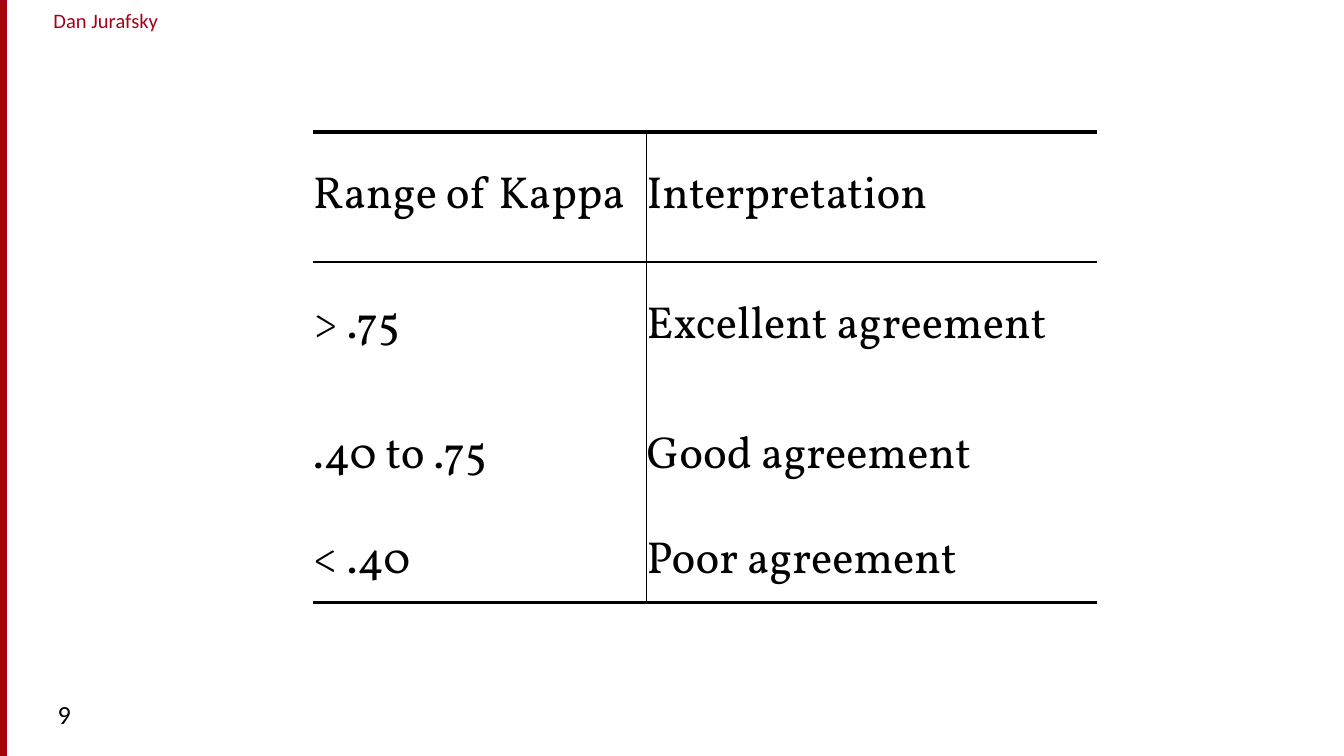
from lxml import etree
from pptx import Presentation
from pptx.dml.color import RGBColor
from pptx.enum.shapes import MSO_SHAPE
from pptx.enum.text import MSO_ANCHOR, PP_ALIGN
from pptx.oxml.ns import qn
from pptx.util import Cm, Pt

RECT = MSO_SHAPE.RECTANGLE
MIDDLE = MSO_ANCHOR.MIDDLE
LEFT, CENTER = PP_ALIGN.LEFT, PP_ALIGN.CENTER

BLACK = RGBColor(0x00, 0x00, 0x00)
CRIMSON = RGBColor(0xA4, 0x00, 0x1D)
DEEP_RED = RGBColor(0xA4, 0x05, 0x08)

THICK, THIN = 2.25, 1
COL_WIDTHS = [6.3, 8.51]
ROW_HEIGHTS = [2.46, 2.46, 2.46, 1.52]
KAPPA_ROWS = [
    ("Range of Kappa", "Interpretation"),
    ("> .75", "Excellent agreement"),
    (".40 to .75", "Good agreement"),
    ("< .40", "Poor agreement"),
]


class SlideBuilder:
    sans = "Calibri"
    serif = "Vollkorn"

    def __init__(self, slide):
        self.slide = slide

    def style(self, p, size, font, color, align=LEFT):
        p.alignment = align
        for r in p.runs:
            r.font.size = Pt(size)
            r.font.name = font
            r.font.color.rgb = color

    def text(self, text, x, y, w, h, size, color=BLACK, align=LEFT, inset=0.25):
        sp = self.slide.shapes.add_textbox(Cm(x), Cm(y), Cm(w), Cm(h))
        tf = sp.text_frame
        tf.word_wrap = True
        tf.margin_left = tf.margin_right = Cm(inset)
        tf.text = text
        self.style(tf.paragraphs[0], size, self.sans, color, align)

    def bar(self, x, y, w, h, rotation):
        sp = self.slide.shapes.add_shape(RECT, Cm(x), Cm(y), Cm(w), Cm(h))
        sp.rotation = rotation
        sp.shadow.inherit = False
        sp.fill.solid()
        sp.fill.fore_color.rgb = DEEP_RED
        sp.line.color.rgb = CRIMSON
        sp.line.width = Pt(0.75)

    def borders(self, cell, widths):
        """Draw the sides named in widths (L, R, T, B) and clear the others."""
        tc_pr = cell._tc.get_or_add_tcPr()
        for i, side in enumerate("LRTB"):
            ln = etree.Element(qn("a:ln" + side))
            tc_pr.insert(i, ln)
            if side in widths:
                ln.set("w", str(Pt(widths[side])))
                fill = etree.SubElement(ln, qn("a:solidFill"))
                etree.SubElement(fill, qn("a:srgbClr"), val=str(BLACK))
            else:
                ln.set("w", "0")
                etree.SubElement(ln, qn("a:noFill"))

    def cell(self, cell, text, widths):
        cell.margin_left = cell.margin_right = 0
        cell.margin_top = cell.margin_bottom = Cm(0.13)
        cell.vertical_anchor = MIDDLE
        cell.fill.background()
        cell.text = text
        p = cell.text_frame.paragraphs[0]
        p.space_before = Pt(4.8)
        self.style(p, 24, self.serif, BLACK)
        self.borders(cell, widths)

    def table(self, rows, x, y, col_widths, row_heights):
        """Table ruled above, below, under its header and between its columns."""
        table = self.slide.shapes.add_table(
            len(rows), len(col_widths), Cm(x), Cm(y),
            Cm(sum(col_widths)), Cm(sum(row_heights))).table
        table.first_row = table.horz_banding = False
        for column, width in zip(table.columns, col_widths):
            column.width = Cm(width)
        for row, height in zip(table.rows, row_heights):
            row.height = Cm(height)

        last = len(rows) - 1
        top = {0: THICK, 1: THIN}
        bottom = {0: THIN, last: THICK}
        for i, texts in enumerate(rows):
            for j, text in enumerate(texts):
                widths = {"R" if j == 0 else "L": THIN}
                if i in top:
                    widths["T"] = top[i]
                if i in bottom:
                    widths["B"] = bottom[i]
                self.cell(table.cell(i, j), text, widths)


def main():
    prs = Presentation()
    prs.slide_width, prs.slide_height = Cm(25.4), Cm(14.29)
    s = SlideBuilder(prs.slides.add_slide(prs.slide_layouts[6]))
    s.text("Dan Jurafsky", 0.2, 0.03, 3.6, 0.74, 11, CRIMSON, CENTER, inset=0)
    s.bar(-7.09, 7.09, 14.3, 0.13, rotation=90)
    s.text("9", 0.84, 13.08, 5.5, 0.97, 14)
    s.table(KAPPA_ROWS, 5.92, 2.49, COL_WIDTHS, ROW_HEIGHTS)
    prs.save("out.pptx")


if __name__ == "__main__":
    main()
